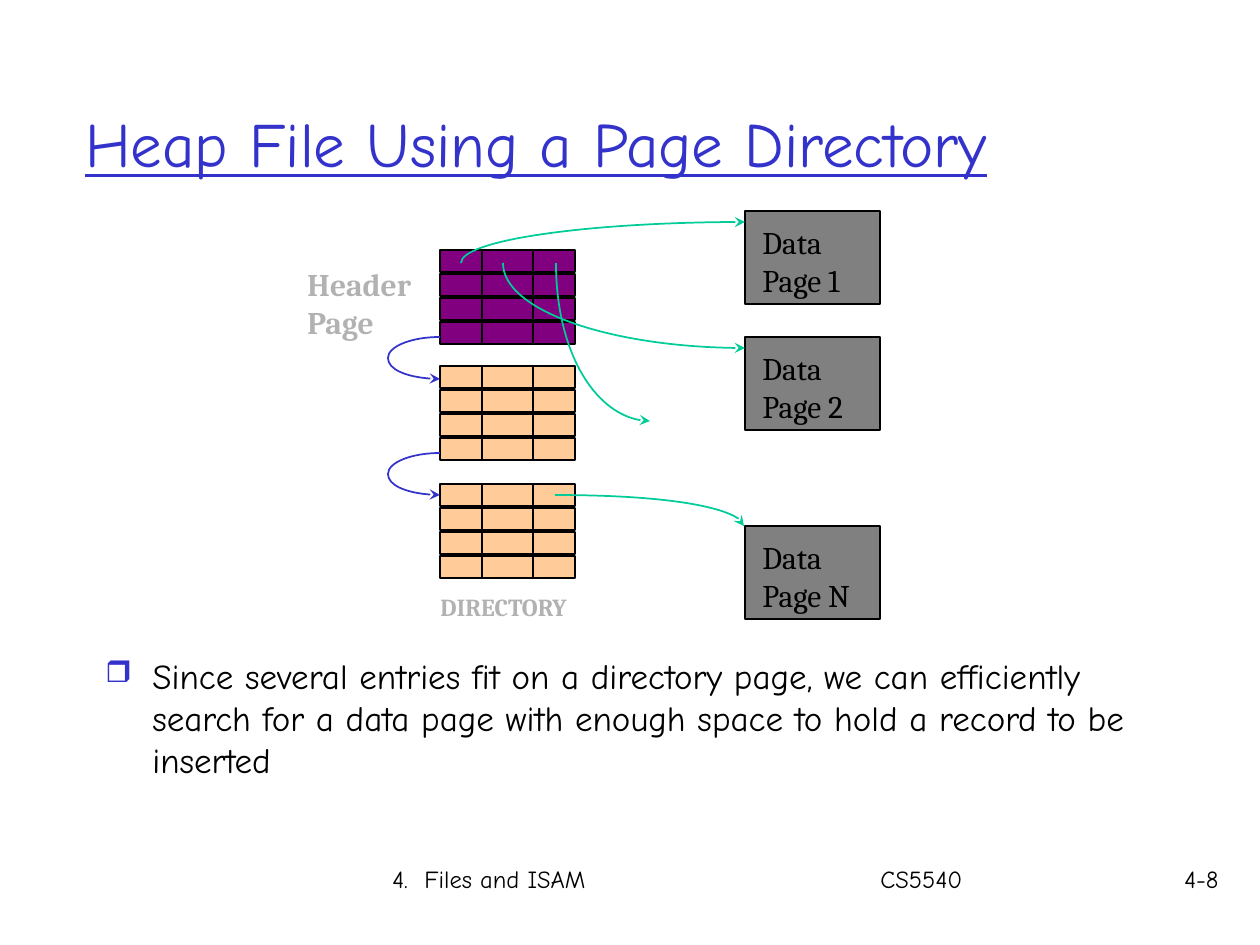
from lxml import etree
from pptx import Presentation
from pptx.dml.color import RGBColor
from pptx.enum.shapes import MSO_CONNECTOR, MSO_SHAPE
from pptx.enum.text import MSO_ANCHOR, PP_ALIGN
from pptx.oxml.ns import qn
from pptx.util import Emu, Pt

RECTANGLE = MSO_SHAPE.RECTANGLE
STRAIGHT = MSO_CONNECTOR.STRAIGHT
LEFT, RIGHT = PP_ALIGN.LEFT, PP_ALIGN.RIGHT
TOP, MIDDLE = MSO_ANCHOR.TOP, MSO_ANCHOR.MIDDLE

EMU_PER_PX = 914400 / 126
ROUND_ARC = 0.55  # Bezier handle length for a quarter ellipse
HAND_FONT, SERIF_FONT = "Comic Neue", "Cambria"
BLACK, BLUE, GREEN = "000000", "3333CC", "00CC99"
PURPLE, PEACH, DARK_GRAY, LIGHT_GRAY = "800080", "FFCC99", "808080", "B2B2B2"


def px(length):
    return Emu(round(length * EMU_PER_PX))


def color(value):
    return RGBColor.from_string(value)


def style_line(shape, line_color):
    shape.line.color.rgb = color(line_color)
    shape.line.width = Pt(1)


def add_text(slide, box, lines, size, font=HAND_FONT, text_color=BLACK, bold=False,
             underline=False, align=LEFT, anchor=TOP, wrap=True):
    shape = slide.shapes.add_textbox(*map(px, box))
    frame = shape.text_frame
    frame.word_wrap = wrap
    frame.vertical_anchor = anchor
    for index, line in enumerate(lines):
        paragraph = frame.add_paragraph() if index else frame.paragraphs[0]
        paragraph.alignment = align
        run = paragraph.add_run()
        run.text = line
        run.font.size = Pt(size)
        run.font.name = font
        run.font.bold = bold
        run.font.underline = underline
        run.font.color.rgb = color(text_color)
    return shape


def add_rectangle(shapes, box, fill):
    shape = shapes.add_shape(RECTANGLE, *map(px, box))
    shape.shadow.inherit = False
    shape.fill.solid()
    shape.fill.fore_color.rgb = color(fill)
    style_line(shape, BLACK)


def add_arc(shapes, upright_end, level_end, line_color, arrow_at=None):
    """Quarter ellipse, vertical at upright_end and horizontal at level_end."""
    (ux, uy), (lx, ly) = upright_end, level_end
    points = [(ux, uy), (ux, uy + ROUND_ARC * (ly - uy)),
              (lx + ROUND_ARC * (ux - lx), ly), (lx, ly)]
    points = [(px(x), px(y)) for x, y in points]
    builder = shapes.build_freeform(*points[0], scale=1.0)
    builder.add_line_segments(points[1:], close=False)
    shape = builder.convert_to_shape()
    shape.shadow.inherit = False
    shape.fill.background()
    style_line(shape, line_color)
    # Merge the three segments into one Bezier curve
    outline = next(shape._element.iter(qn("a:path")))
    curve = etree.SubElement(outline, qn("a:cubicBezTo"))
    for segment in outline.findall(qn("a:lnTo")):
        curve.append(segment[0])
        outline.remove(segment)
    if arrow_at:
        tag = "a:headEnd" if arrow_at == upright_end else "a:tailEnd"
        line = shape.line._get_or_add_ln()
        etree.SubElement(line, qn(tag), type="stealth")


def add_directory_page(slide, left, top, width, height, fill):
    rows, row_height = 4, 22
    pitch = (height - row_height) / (rows - 1)
    shapes = slide.shapes.add_group_shape().shapes
    for row in range(rows):
        add_rectangle(shapes, (left, top + row * pitch, width, row_height), fill)
    for offset in (42, 93):
        x = px(left + offset)
        divider = shapes.add_connector(STRAIGHT, x, px(top), x, px(top + height))
        style_line(divider, BLACK)
        etree.SubElement(divider._element.spPr, qn("a:effectLst"))


def add_data_page(slide, left, top, width, height, label):
    add_rectangle(slide.shapes, (left, top, width, height), DARK_GRAY)
    add_text(slide, (left + 5, top + 6, 121, 88), ["Data", label], 18, SERIF_FONT,
             wrap=False)


def add_next_page_link(slide, left, top, width, height):
    right, middle, bottom = left + width, top + height // 2, top + height
    shapes = slide.shapes.add_group_shape().shapes
    add_arc(shapes, (left, middle), (right, top), BLUE)
    add_arc(shapes, (left, middle), (right, bottom), BLUE, (right, bottom))


def add_diagram(slide, left, top):
    # Directory pages
    for offset, fill in ((39, PURPLE), (155, PEACH), (273, PEACH)):
        add_directory_page(slide, left + 133, top + offset, 135, 94, fill)

    # Data pages
    for offset, label in ((0, "Page 1"), (126, "Page 2"), (315, "Page N")):
        add_data_page(slide, left + 438, top + offset, 135, 93, label)

    # Captions
    add_text(slide, (left - 12, top + 48, 142, 88), ["Header", "Page"], 18, SERIF_FONT,
             LIGHT_GRAY, bold=True, wrap=False)
    add_text(slide, (left + 121, top + 375, 174, 42), ["DIRECTORY"], 14, SERIF_FONT,
             LIGHT_GRAY, bold=True, wrap=False)

    # Links between directory pages
    for offset in (126, 242):
        add_next_page_link(slide, left + 81, top + offset, 52, 42)

    # Pointers to data pages: upright end, level end, whether the arrow is at the level end
    pointers = (((154, 52), (438, 11), True), ((196, 52), (438, 137), True),
                ((249, 52), (343, 210), True), ((437, 315), (248, 284), False))
    for upright, level, arrow_at_level in pointers:
        upright, level = ((left + x, top + y) for x, y in (upright, level))
        add_arc(slide.shapes, upright, level, GREEN, level if arrow_at_level else upright)


def add_bullet(slide, box, text):
    shape = add_text(slide, box, [text], 20)
    paragraph = shape.text_frame.paragraphs[0]
    paragraph.space_before = Pt(5)
    properties = paragraph._p.get_or_add_pPr()
    indent = px(47)
    properties.set("marL", str(indent))
    properties.set("indent", str(-indent))
    bullet_color = etree.SubElement(properties, qn("a:buClr"))
    etree.SubElement(bullet_color, qn("a:srgbClr"), val=BLUE)
    etree.SubElement(properties, qn("a:buSzPct"), val="85000")
    etree.SubElement(properties, qn("a:buChar"), char="❒")


def add_footer(slide, left, top, width, height):
    add_text(slide, (left, top, 400, height), ["4.  Files and ISAM"], 14)
    add_text(slide, (left + 488, top, 200, height), ["CS5540"], 14)
    add_text(slide, (left + width - 93, top, 93, height), ["4-8"], 14, align=RIGHT)


def main():
    presentation = Presentation()
    presentation.slide_width, presentation.slide_height = px(1260), px(945)
    slide = presentation.slides.add_slide(presentation.slide_layouts[6])
    add_text(slide, (73, 64, 1071, 156), ["Heap File Using a Page Directory"], 36,
             text_color=BLUE, underline=True, anchor=MIDDLE)
    add_diagram(slide, 307, 211)
    add_bullet(slide, (93, 648, 1071, 179),
               "Since several entries fit on a directory page, we can efficiently search "
               "for a data page with enough space to hold a record to be inserted")
    add_footer(slide, 380, 858, 851, 63)
    presentation.save("out.pptx")


if __name__ == "__main__":
    main()
